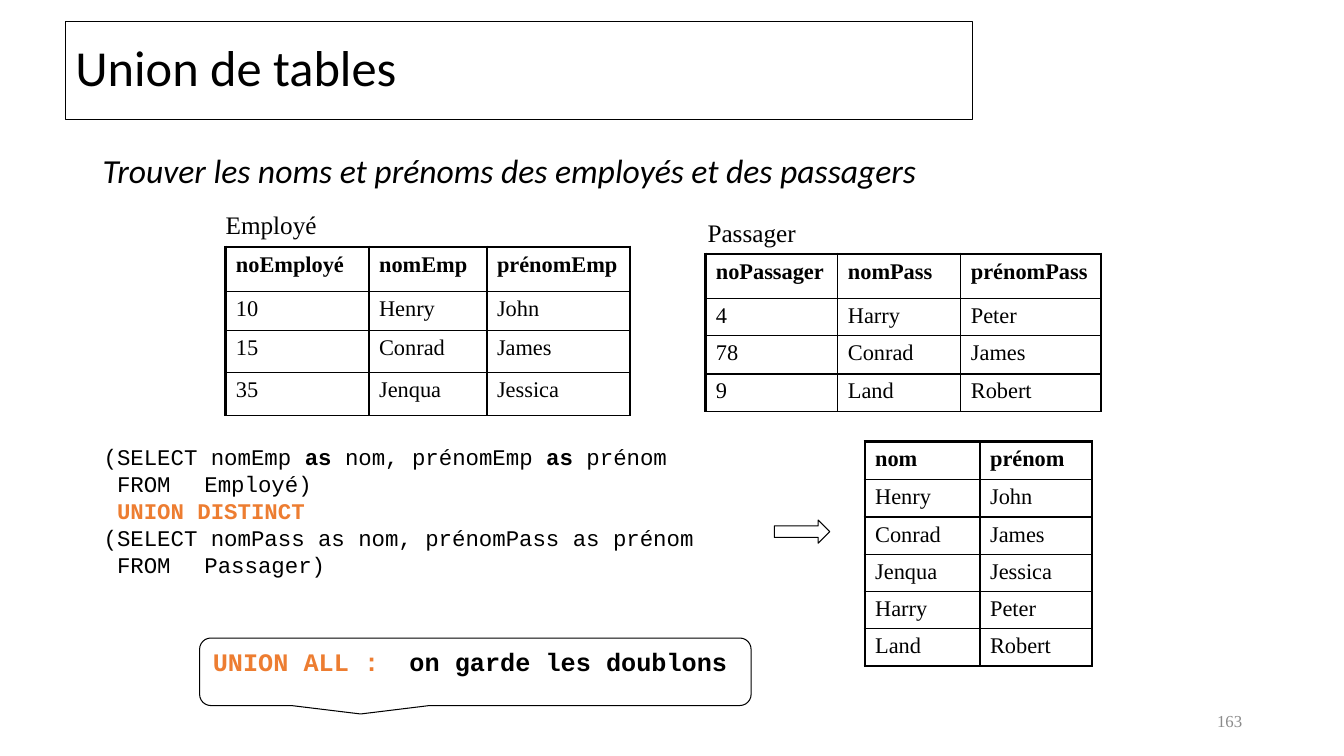
import pptx
import pptx.util
import pptx.dml.color
import pptx.enum.shapes
import pptx.enum.text
import pptx.oxml

Inches = pptx.util.Inches
Pt = pptx.util.Pt
RGBColor = pptx.dml.color.RGBColor
SHAPE = pptx.enum.shapes.MSO_SHAPE
ALIGN = pptx.enum.text.PP_ALIGN
ANCHOR = pptx.enum.text.MSO_ANCHOR
FIT = pptx.enum.text.MSO_AUTO_SIZE

BLACK = RGBColor(0x00, 0x00, 0x00)
ORANGE = RGBColor(0xED, 0x7D, 0x31)
GREY = RGBColor(0x8B, 0x8B, 0x8B)
SANS, SERIF, MONO = "Calibri", "Times New Roman", "Courier New"
THIN, THICK = 0.96, 2.21
NS = 'xmlns:a="http://schemas.openxmlformats.org/drawingml/2006/main"'

STAFF = [
    ["noEmployé", "nomEmp", "prénomEmp"],
    ["10", "Henry", "John"],
    ["15", "Conrad", "James"],
    ["35", "Jenqua", "Jessica"],
]
GUESTS = [
    ["noPassager", "nomPass", "prénomPass"],
    ["4", "Harry", "Peter"],
    ["78", "Conrad", "James"],
    ["9", "Land", "Robert"],
]
UNION = [["nom", "prénom"]] + [row[1:] for row in STAFF[1:]] + [
    ["Harry", "Peter"],
    ["Land", "Robert"],
]
QUERY = [
    ["(SELECT nomEmp ", ("as", BLACK), " nom, prénomEmp ", ("as", BLACK), " prénom"],
    [" FROM\tEmployé)"],
    [(" UNION DISTINCT", ORANGE)],
    ["(SELECT nomPass as nom, prénomPass as prénom"],
    [" FROM \tPassager)"],
]


def style(para, face, size, color=BLACK, bold=False, align=ALIGN.LEFT):
    para.alignment = align
    font = para.font
    font.name, font.size, font.bold = face, Pt(size), bold
    font.color.rgb = color


def write(frame, lines, face, size, **look):
    """Fill a frame; each line lists plain pieces and bold (text, colour) pieces."""
    for i, line in enumerate(lines):
        para = frame.add_paragraph() if i else frame.paragraphs[0]
        style(para, face, size, **look)
        for piece in line:
            run = para.add_run()
            if isinstance(piece, str):
                run.text = piece
            else:
                run.text, run.font.color.rgb = piece
                run.font.bold = True


def add_text(slide, box, lines, face, size, wrap=False, **look):
    """Add a text box; one that does not wrap grows with its text."""
    frame = slide.shapes.add_textbox(*map(Inches, box)).text_frame
    frame.word_wrap = wrap
    frame.auto_size = FIT.NONE if wrap else FIT.SHAPE_TO_FIT_TEXT
    write(frame, lines, face, size, **look)
    return frame


def add_shape(slide, kind, box):
    """Add an unfilled shape with a black hairline."""
    shape = slide.shapes.add_shape(kind, *map(Inches, box))
    shape.shadow.inherit = False
    shape.fill.background()
    shape.line.color.rgb = BLACK
    shape.line.width = Pt(0)
    return shape


def set_edges(cell, widths):
    """Draw the left, right, top and bottom borders of a cell."""
    props = cell._tc.get_or_add_tcPr()
    for i, (side, width) in enumerate(zip("LRTB", widths)):
        props.insert(i, pptx.oxml.parse_xml(
            f'<a:ln{side} {NS} w="{Pt(width)}"><a:solidFill>'
            f'<a:srgbClr val="{BLACK}"/></a:solidFill></a:ln{side}>'))


def add_table(slide, left, top, cols, rows, data, base=THIN):
    """Add a grid with a thick frame; base is the width of its bottom edge."""
    table = slide.shapes.add_table(
        len(rows), len(cols), Inches(left), Inches(top),
        Inches(sum(cols)), Inches(sum(rows))).table
    table.first_row = table.horz_banding = False
    for col, width in zip(table.columns, cols):
        col.width = Inches(width)
    for row, height in zip(table.rows, rows):
        row.height = Inches(height)
    for r, words in enumerate(data):
        for c, word in enumerate(words):
            cell = table.cell(r, c)
            cell.fill.background()
            write(cell.text_frame, [[word]], SERIF, 16, bold=r == 0)
            cell.text_frame.paragraphs[0].space_before = Pt(3.2)
            set_edges(cell, [
                THIN if c else THICK,
                THICK if c == len(cols) - 1 else THIN,
                THIN if r else THICK,
                base if r == len(rows) - 1 else THIN,
            ])


def add_title(slide):
    frame = add_shape(slide, SHAPE.RECTANGLE, (0.65, 0.21, 9, 0.98)).text_frame
    frame.vertical_anchor = ANCHOR.MIDDLE
    write(frame, [["Union de tables"]], SANS, 36)
    frame.paragraphs[0].line_spacing = 0.9


def add_goal(slide):
    goal = "Trouver les noms et prénoms des employés et des passagers"
    frame = add_text(slide, (0.92, 1.48, 10.93, 0.66), [[goal]], SANS, 24, wrap=True)
    para = frame.paragraphs[0]
    para.font.italic = True
    para.line_spacing, para.space_before = 0.9, Pt(10)


def add_note(slide):
    note = add_shape(slide, SHAPE.ROUNDED_RECTANGULAR_CALLOUT, (1.98, 6.33, 5.47, 0.67))
    for i, value in enumerate((-0.208, 0.625, 0.167)):
        note.adjustments[i] = value
    frame = note.text_frame
    frame.vertical_anchor = ANCHOR.TOP
    write(frame, [[("UNION ALL :  ", ORANGE), "on garde les doublons"]],
          MONO, 18, bold=True)


def main():
    deck = pptx.Presentation()
    deck.slide_width, deck.slide_height = Inches(13.33), Inches(7.5)
    slide = deck.slides.add_slide(deck.slide_layouts[6])
    page = add_text(slide, (9.42, 6.95, 3, 0.4), [["163"]], SERIF, 12,
                    wrap=True, color=GREY, align=ALIGN.RIGHT)
    page.vertical_anchor = ANCHOR.MIDDLE
    add_title(slide)
    add_goal(slide)
    add_table(slide, 2.24, 2.45, [1.42, 1.17, 1.42], [0.44, 0.39, 0.42, 0.42], STAFF)
    add_table(slide, 7, 2.52, [1.31, 1.22, 1.39], [0.44, 0.37, 0.38, 0.37], GUESTS)
    add_text(slide, (2.14, 2.03, 1.1, 0.4), [["Employé"]], SERIF, 18, align=ALIGN.CENTER)
    add_text(slide, (6.9, 2.11, 1.11, 0.4), [["Passager"]], SERIF, 18, align=ALIGN.CENTER)
    add_text(slide, (0.93, 4.35, 6.06, 1.43), QUERY, MONO, 16)
    add_table(slide, 8.58, 4.38, [1.14, 1.11], [0.38] + [0.37] * 5, UNION, THICK)
    add_note(slide)
    add_shape(slide, SHAPE.RIGHT_ARROW, (7.68, 5.16, 0.55, 0.23))
    deck.save("out.pptx")


if __name__ == "__main__":
    main()
